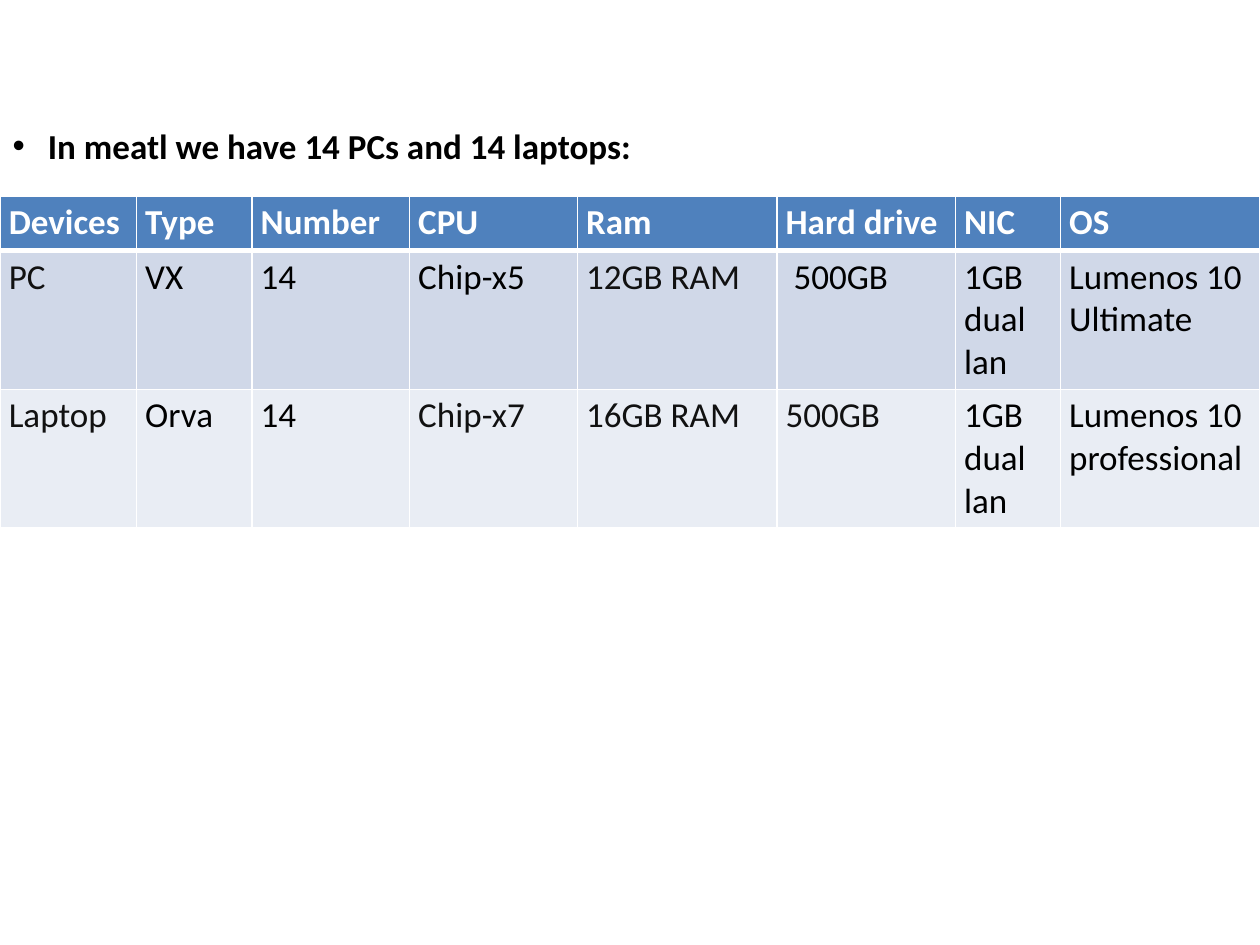
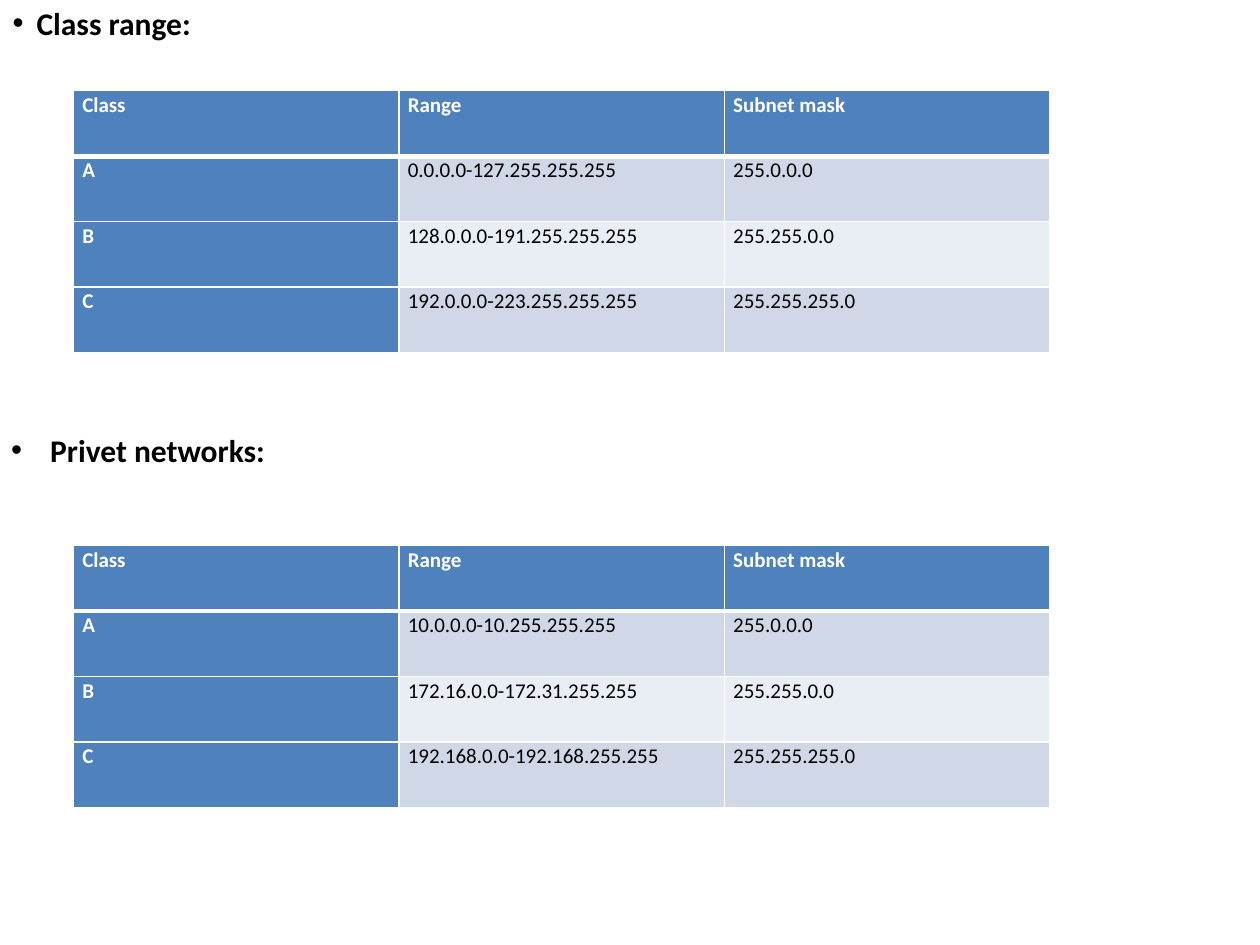
import pptx
import pptx.util
import pptx.dml.color
import pptx.enum.text
import pptx.oxml.ns
from dataclasses import dataclass
from lxml import etree


@dataclass(frozen=True)
class Theme:
    font: str = "Calibri"
    header: str = "4F81BD"
    bands: tuple = ("D0D8E8", "E9EDF4")
    white: str = "FFFFFF"
    black: str = "000000"
    soft_black: str = "111111"
    large: int = 20
    medium: int = 18
    small: int = 12
    thin: int = 1
    thick: int = 3


THEME = Theme()
WIDTH, HEIGHT = 10, 7.5
UNIT = WIDTH / 120

DEVICES = [
    ["Devices", "Type", "Number", "CPU", "Ram", "Hard drive", "NIC", "OS"],
    ["PC", "VX", "14", "Chip-x5", "12GB RAM", " 500GB", "1GB dual lan", "Lumenos 10\nUltimate"],
    ["Laptop", "Orva", "14", "Chip-x7", "16GB RAM", "500GB", "1GB dual lan", "Lumenos 10 professional"],
]
SOFT_CELLS = {(1, 0), (1, 4), (2, 0), (2, 3), (2, 4), (2, 5)}
DEVICE_COLUMNS = [13, 11, 15, 16, 19, 17, 10, 19]
DEVICE_ROWS = [0.43, 0.99, 0.98]

CLASS_HEADER = ["Class", "Range", "Subnet mask"]
CLASS_MASKS = {"A": "255.0.0.0", "B": "255.255.0.0", "C": "255.255.255.0"}
CLASS_RANGES = ["0.0.0.0-127.255.255.255", "128.0.0.0-191.255.255.255", "192.0.0.0-223.255.255.255"]
PRIVATE_RANGES = ["10.0.0.0-10.255.255.255", "172.16.0.0-172.31.255.255", "192.168.0.0-192.168.255.255"]
CLASS_COLUMNS = [31] * 3
CLASS_ROWS = [0.52] * 4
CLASS_LEFT = 7 * UNIT

NETWORK_SECTIONS = [
    ("Class range:", (0, -0.02, 1.62, 0.71), 0.19, CLASS_RANGES, 0.72),
    ("Privet networks:", (-0.01, 3.37, 2.24, 0.71), 0.31, PRIVATE_RANGES, 4.33),
]


def inches(*values):
    return [pptx.util.Inches(v) for v in values]


def rgb(code):
    return pptx.dml.color.RGBColor.from_string(code)


def put_text(tf, text, size, color, bold=False, spacing=1.0, indent=None):
    for i, line in enumerate(text.split("\n")):
        p = tf.paragraphs[0] if i == 0 else tf.add_paragraph()
        p.alignment = pptx.enum.text.PP_ALIGN.LEFT
        p.line_spacing = spacing
        if indent:
            add_bullet(p, indent)
        r = p.add_run()
        r.text = line
        r.font.name = THEME.font
        r.font.size = pptx.util.Pt(size)
        r.font.bold = bold
        r.font.color.rgb = rgb(color)


def add_bullet(p, indent):
    pPr = p._p.get_or_add_pPr()
    offset = pptx.util.Inches(indent)
    pPr.set("marL", str(offset))
    pPr.set("indent", str(-offset))
    etree.SubElement(pPr, pptx.oxml.ns.qn("a:buFont")).set("typeface", "Arial")
    etree.SubElement(pPr, pptx.oxml.ns.qn("a:buChar")).set("char", "•")


def add_heading(s, text, box, size, indent, as_title=False, wrap=True):
    if as_title:
        sp = s.shapes.title
        sp.left, sp.top, sp.width, sp.height = inches(*box)
    else:
        sp = s.shapes.add_textbox(*inches(*box))
    tf = sp.text_frame
    tf.word_wrap = wrap
    tf.auto_size = pptx.enum.text.MSO_AUTO_SIZE.NONE
    tf.vertical_anchor = pptx.enum.text.MSO_ANCHOR.TOP
    put_text(tf, text, size, THEME.black, bold=True, indent=indent)


def set_borders(cell, **widths):
    tcPr = cell._tc.get_or_add_tcPr()
    for side in "LRTB":
        width = pptx.util.Pt(widths.get(side, THEME.thin))
        ln = etree.SubElement(tcPr, pptx.oxml.ns.qn(f"a:ln{side}"), w=str(width))
        fill = etree.SubElement(ln, pptx.oxml.ns.qn("a:solidFill"))
        etree.SubElement(fill, pptx.oxml.ns.qn("a:srgbClr"), val=THEME.white)


def add_grid(s, rows, left, top, columns, heights, size, pad, spacing=1.0,
             header_column=False, soft_cells=()):
    widths = [c * UNIT for c in columns]
    box = inches(left, top, sum(widths), sum(heights))
    table = s.shapes.add_table(len(rows), len(columns), *box).table
    table.first_col = header_column
    for column, width in zip(table.columns, widths):
        column.width = pptx.util.Inches(width)
    for row, height in zip(table.rows, heights):
        row.height = pptx.util.Inches(height)
    for i, row in enumerate(rows):
        for j, text in enumerate(row):
            cell = table.cell(i, j)
            is_header = i == 0 or (header_column and j == 0)
            cell.margin_left = cell.margin_right = pptx.util.Inches(0.07)
            cell.margin_top = cell.margin_bottom = pptx.util.Inches(pad)
            set_borders(cell, T=THEME.thick if i == 1 else THEME.thin,
                        B=THEME.thick if i == 0 else THEME.thin)
            cell.fill.solid()
            cell.fill.fore_color.rgb = rgb(THEME.header if is_header else THEME.bands[(i - 1) % 2])
            body = THEME.soft_black if (i, j) in soft_cells else THEME.black
            put_text(cell.text_frame, text, size, THEME.white if is_header else body,
                     bold=is_header, spacing=spacing)


def add_devices_slide(prs):
    s = prs.slides.add_slide(prs.slide_layouts[5])
    add_heading(s, "In meatl we have 14 PCs and 14 laptops:", (0, 0.94, WIDTH, 0.44),
                THEME.large, 0.28, as_title=True)
    add_grid(s, DEVICES, 0, 1.56, DEVICE_COLUMNS, DEVICE_ROWS, THEME.large, 0.04,
             soft_cells=SOFT_CELLS)


def add_networks_slide(prs):
    s = prs.slides.add_slide(prs.slide_layouts[5])
    for n, (heading, box, indent, ranges, top) in enumerate(NETWORK_SECTIONS):
        add_heading(s, heading, box, THEME.medium, indent, as_title=n == 0, wrap=False)
        rows = [CLASS_HEADER] + [[name, span, mask] for (name, mask), span
                                 in zip(CLASS_MASKS.items(), ranges)]
        add_grid(s, rows, CLASS_LEFT, top, CLASS_COLUMNS, CLASS_ROWS, THEME.small, 0,
                 spacing=1.07, header_column=True)


def main():
    prs = pptx.Presentation()
    prs.slide_width, prs.slide_height = inches(WIDTH, HEIGHT)
    add_devices_slide(prs)
    add_networks_slide(prs)
    prs.save("out.pptx")


if __name__ == "__main__":
    main()
